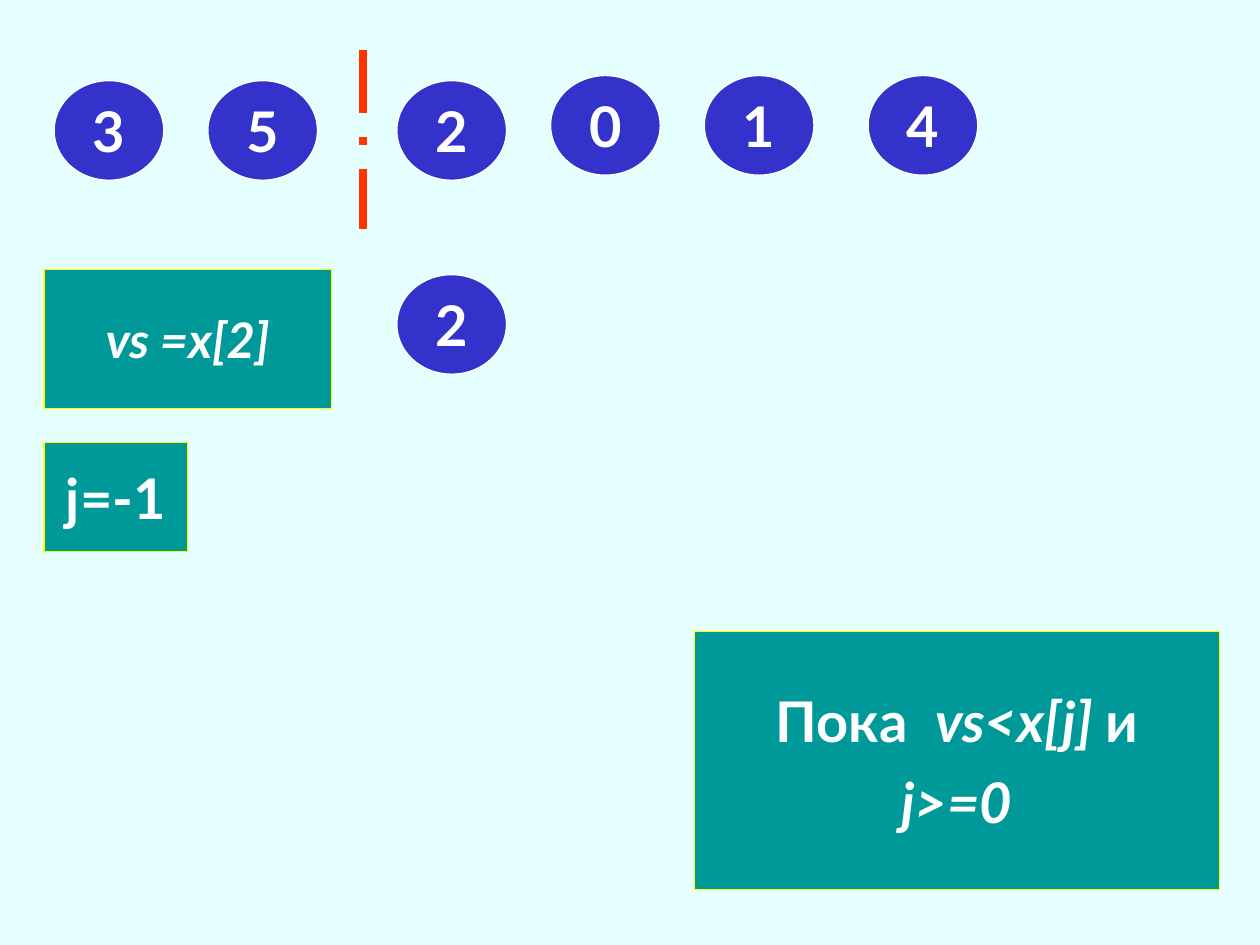
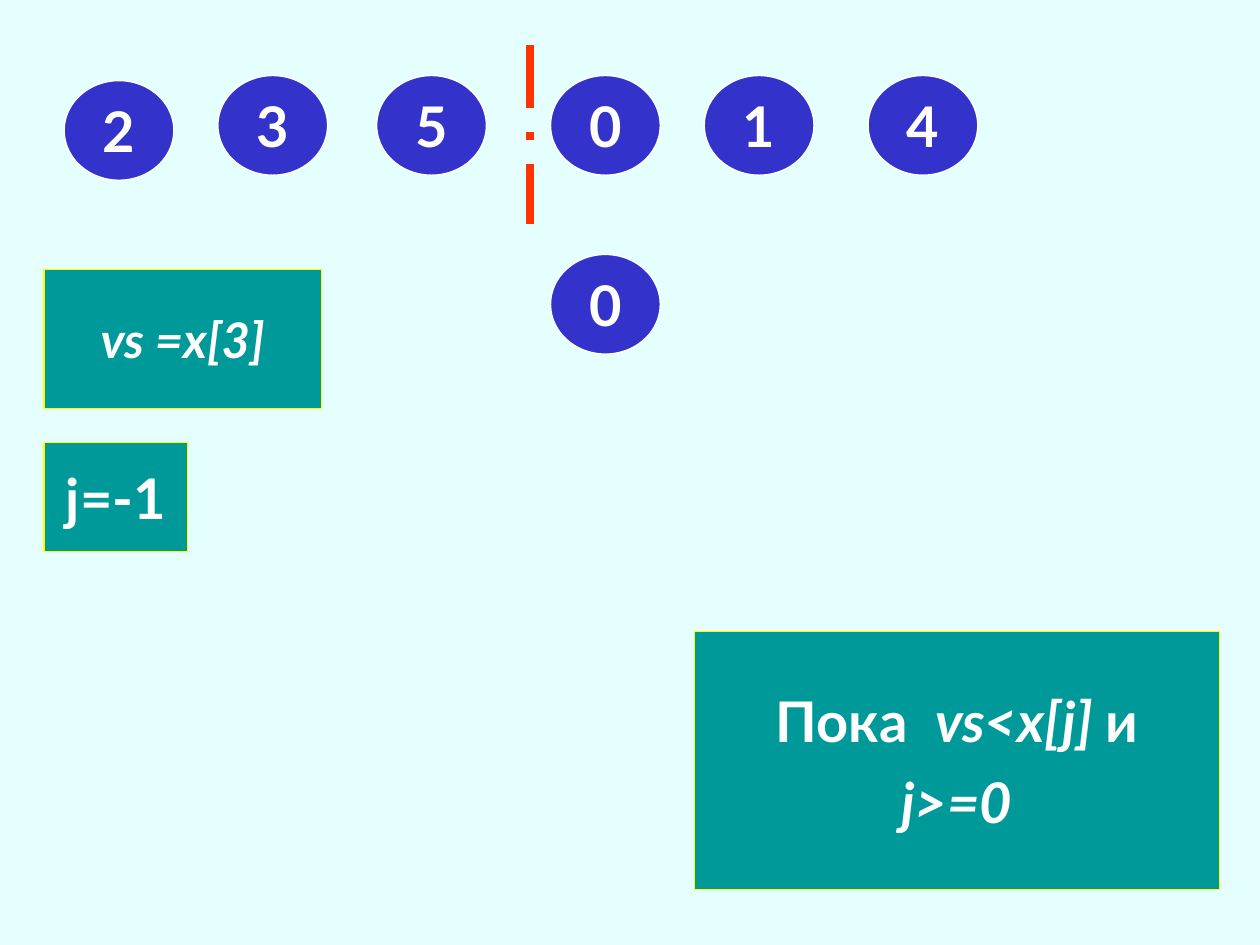
"""Build two slides that trace steps of insertion sort."""
from lxml.etree import SubElement
from pptx import Presentation
from pptx.dml.color import RGBColor
from pptx.enum.dml import MSO_LINE_DASH_STYLE as Dash
from pptx.enum.shapes import MSO_CONNECTOR as Connector, MSO_SHAPE as Shape
from pptx.enum.text import MSO_ANCHOR as Anchor, PP_ALIGN as Align
from pptx.oxml.ns import qn
from pptx.util import Inches, Pt

FONT = "Lato"
BACKGROUND, WHITE = "E5FFFF", "FFFFFF"
BALL, PANEL, PANEL_EDGE, DIVIDER = "3333CC", "009999", "FFFF00", "FF3300"
BALL_WIDTH, BALL_HEIGHT = 0.87, 0.79
DIVIDER_LENGTH = 1.42
PANEL_LEFT = 0.35
HIGH, LOW = 0.6, 0.64
UNSORTED_TAIL = [("1", 5.59, HIGH), ("4", 6.89, HIGH)]
LOOP_CONDITION = [
    [("Пока  ", False), ("vs<x[j] ", True), ("и", False)],
    [("j>=0", True)],
]

STEPS = [
    {
        "numbers": [("3", 0.43, LOW), ("5", 1.65, LOW), ("2", 3.15, LOW),
                    ("0", 4.37, HIGH)],
        "current": ("2", 3.15, 2.18),
        "divider": (2.88, 0.4),
        "assignment": ("vs =x[2]", 2.28),
    },
    {
        "numbers": [("2", 0.51, LOW), ("3", 1.73, HIGH), ("5", 2.99, HIGH),
                    ("0", 4.37, HIGH)],
        "current": ("0", 4.37, 2.02),
        "divider": (4.21, 0.36),
        "assignment": ("vs =x[3]", 2.2),
    },
]


def color(hex_code):
    return RGBColor.from_string(hex_code)


def add_label(slide, kind, box, fill, edge, lines, size=32):
    label = slide.shapes.add_shape(kind, *map(Inches, box))
    label.shadow.inherit = False
    label.fill.solid()
    label.fill.fore_color.rgb = color(fill)
    label.line.color.rgb = color(edge)
    label.line.width = Pt(0.75)
    frame = label.text_frame
    frame.word_wrap = False
    frame.vertical_anchor = Anchor.MIDDLE
    for index, pieces in enumerate(lines):
        paragraph = frame.add_paragraph() if index else frame.paragraphs[0]
        paragraph.alignment = Align.CENTER
        paragraph.space_before = Pt(size // 4)
        paragraph.font.name = FONT
        paragraph.font.size = Pt(size)
        paragraph.font.bold = True
        paragraph.font.color.rgb = color(WHITE)
        for text, italic in pieces:
            run = paragraph.add_run()
            run.text = text
            run.font.italic = italic


def add_ball(slide, number, left, top):
    add_label(slide, Shape.OVAL, (left, top, BALL_WIDTH, BALL_HEIGHT),
              BALL, WHITE, [[(number, False)]])


def add_panel(slide, box, lines, size=32):
    add_label(slide, Shape.RECTANGLE, box, PANEL, PANEL_EDGE, lines, size)


def add_divider(slide, x, top):
    divider = slide.shapes.add_connector(
        Connector.STRAIGHT, *map(Inches, (x, top, x, top + DIVIDER_LENGTH)))
    divider.line.color.rgb = color(DIVIDER)
    divider.line.width = Pt(4.5)
    divider.line.dash_style = Dash.LONG_DASH_DOT
    SubElement(divider._element.spPr, qn("a:effectLst"))


def add_step(deck, step):
    slide = deck.slides.add_slide(deck.slide_layouts[6])
    for ball in step["numbers"] + UNSORTED_TAIL + [step["current"]]:
        add_ball(slide, *ball)
    add_divider(slide, *step["divider"])
    assignment, width = step["assignment"]
    add_panel(slide, (PANEL_LEFT, 2.14, width, 1.1), [[(assignment, True)]], 28)
    add_panel(slide, (PANEL_LEFT, 3.51, 1.14, 0.87), [[("j=-1", False)]])
    add_panel(slide, (5.51, 5.01, 4.17, 2.05), LOOP_CONDITION)


def main():
    deck = Presentation()
    deck.slide_width, deck.slide_height = Inches(10), Inches(7.5)
    backdrop = deck.slide_master.background.fill
    backdrop.solid()
    backdrop.fore_color.rgb = color(BACKGROUND)
    for step in STEPS:
        add_step(deck, step)
    deck.save("out.pptx")


if __name__ == "__main__":
    main()
